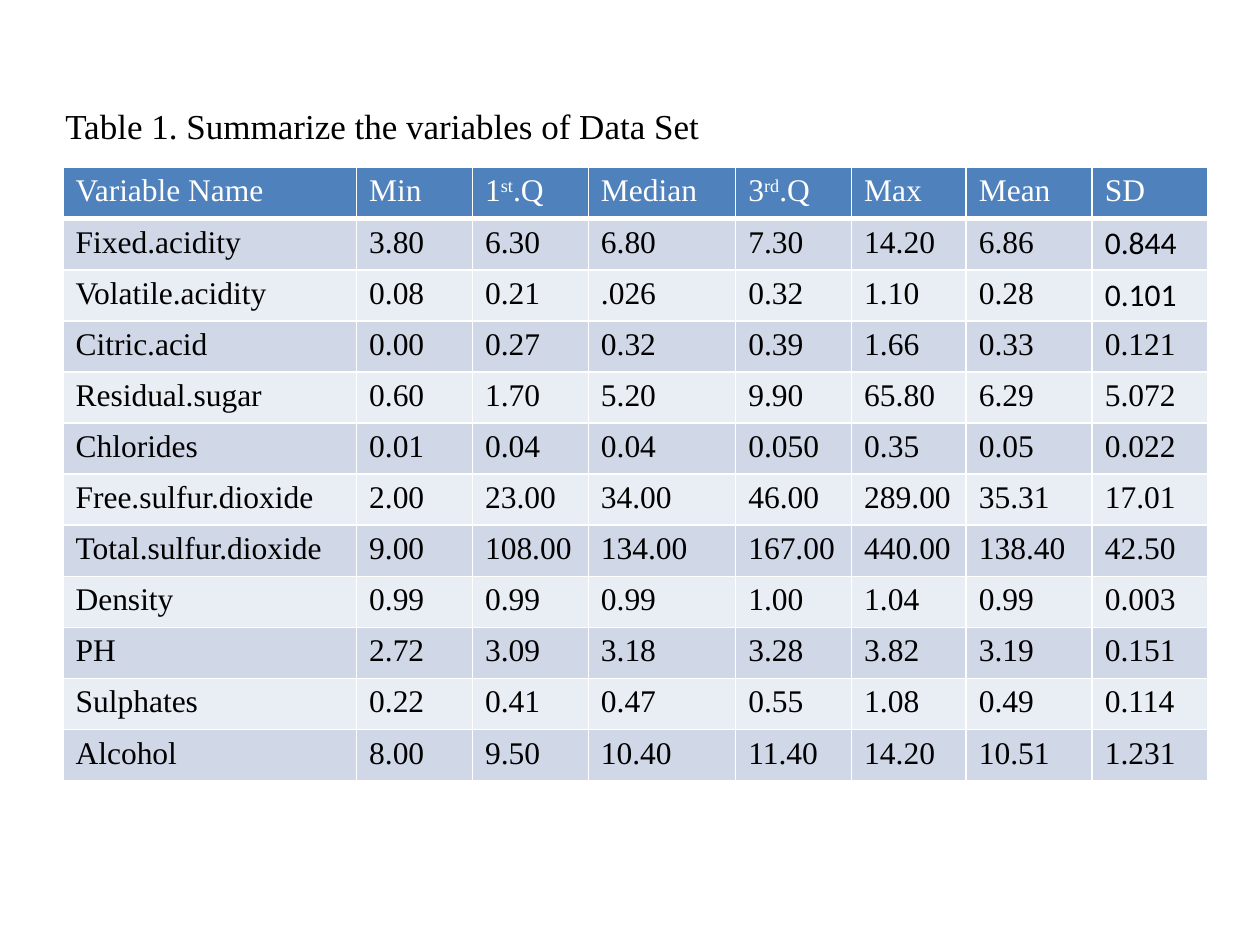
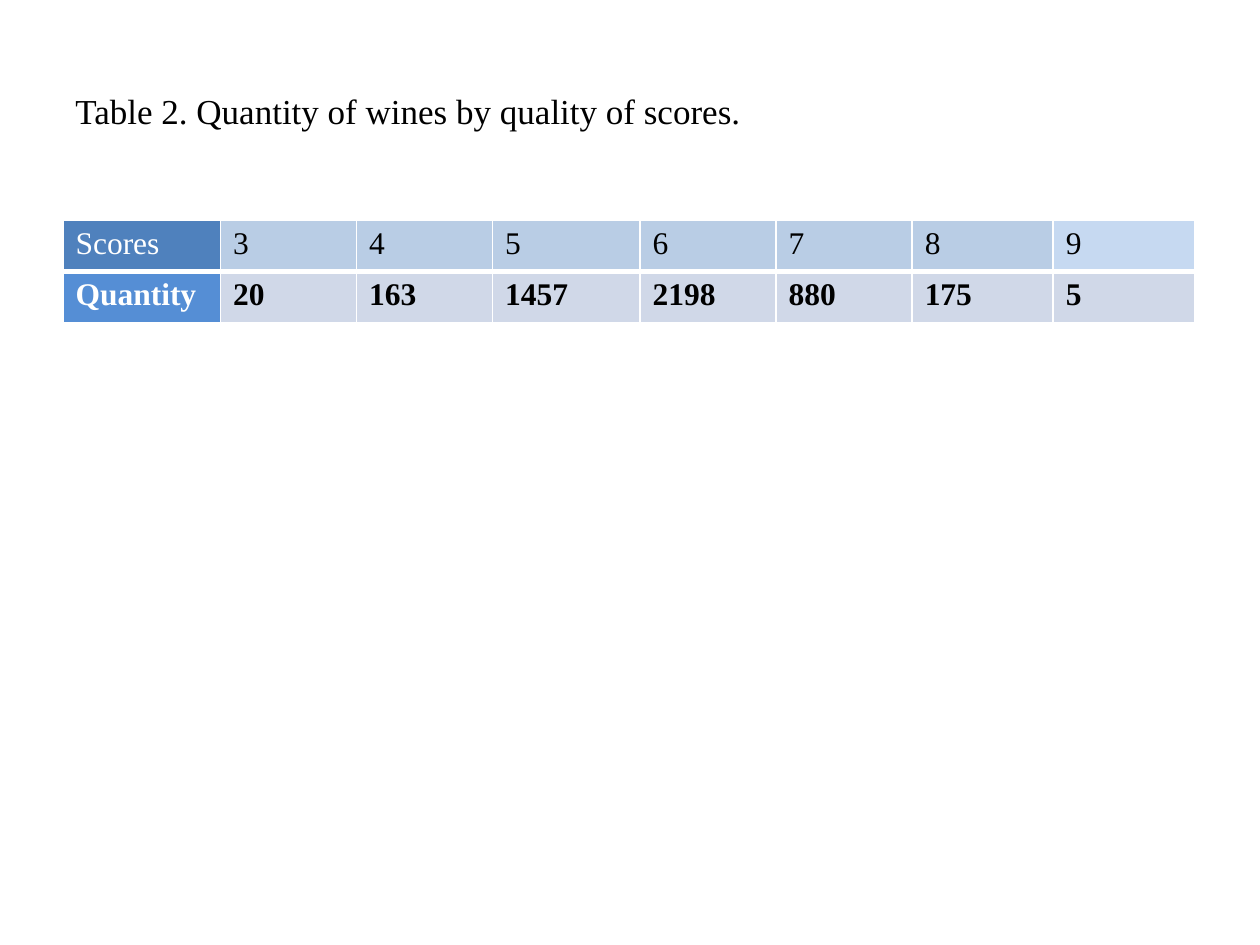
import pptx
import pptx.dml.color
import pptx.enum.text
import pptx.oxml.ns
import pptx.util
from lxml import etree
from pptx.util import Inches

SERIF, SANS = "Times New Roman", "Calibri"
WHITE, BLACK = "FFFFFF", "000000"
HEADER_BLUE, QUANTITY_BLUE = "4F81BD", "558ED5"
SCORE_BLUE, LAST_SCORE_BLUE = "B9CDE5", "C6D9F1"
BAND_DARK, BAND_LIGHT = "D0D8E8", "E9EDF4"

VARIABLES = [
    ["Variable Name", "Min", "1^st^.Q", "Median", "3^rd^.Q", "Max", "Mean", "SD"],
    ["Fixed.acidity", "3.80", "6.30", "6.80", "7.30", "14.20", "6.86", "0.844"],
    ["Volatile.acidity", "0.08", "0.21", ".026", "0.32", "1.10", "0.28", "0.101"],
    ["Citric.acid", "0.00", "0.27", "0.32", "0.39", "1.66", "0.33", "0.121"],
    ["Residual.sugar", "0.60", "1.70", "5.20", "9.90", "65.80", "6.29", "5.072"],
    ["Chlorides", "0.01", "0.04", "0.04", "0.050", "0.35", "0.05", "0.022"],
    ["Free.sulfur.dioxide", "2.00", "23.00", "34.00", "46.00", "289.00", "35.31", "17.01"],
    ["Total.sulfur.dioxide", "9.00", "108.00", "134.00", "167.00", "440.00", "138.40", "42.50"],
    ["Density", "0.99", "0.99", "0.99", "1.00", "1.04", "0.99", "0.003"],
    ["PH", "2.72", "3.09", "3.18", "3.28", "3.82", "3.19", "0.151"],
    ["Sulphates", "0.22", "0.41", "0.47", "0.55", "1.08", "0.49", "0.114"],
    ["Alcohol", "8.00", "9.50", "10.40", "11.40", "14.20", "10.51", "1.231"],
]
VARIABLE_WIDTHS = [2.33, 0.92, 0.92, 1.17, 0.92, 0.91, 1, 0.92]
SCORES = [
    ["Scores", "3", "4", "5", "6", "7", "8", "9"],
    ["Quantity", "20", "163", "1457", "2198", "880", "175", "5"],
]
SCORE_WIDTHS = [1.25, 1.08, 1.08, 1.17, 1.08, 1.08, 1.12, 1.12]


def rgb(value):
    return pptx.dml.color.RGBColor.from_string(value)


def add_text(paragraph, text, size, color=BLACK, font=SERIF, bold=False):
    """Add runs to the paragraph; a part between ^ marks is superscript."""
    for index, part in enumerate(text.split("^")):
        run = paragraph.add_run()
        run.text = part
        run.font.name = font
        run.font.size = pptx.util.Pt(size)
        run.font.bold = bold
        run.font.color.rgb = rgb(color)
        if index % 2:
            run.font._element.set("baseline", "30000")


def add_title(slide, text, left, top, height):
    box = slide.shapes.add_textbox(Inches(left), Inches(top), Inches(9), Inches(height))
    frame = box.text_frame
    frame.word_wrap = True
    frame.vertical_anchor = pptx.enum.text.MSO_ANCHOR.MIDDLE
    add_text(frame.paragraphs[0], text, 20)


def set_borders(cell, bottom_width):
    """Draw white cell borders, 1 pt except for the bottom one."""
    properties = cell._tc.get_or_add_tcPr()
    for side, width in (("L", 1), ("R", 1), ("T", 1), ("B", bottom_width)):
        line = etree.SubElement(properties, pptx.oxml.ns.qn(f"a:ln{side}"),
                                w=str(pptx.util.Pt(width)))
        fill = etree.SubElement(line, pptx.oxml.ns.qn("a:solidFill"))
        etree.SubElement(fill, pptx.oxml.ns.qn("a:srgbClr"), val=WHITE)


def add_data_table(slide, rows, widths, top, height, cell_style):
    """Add a table; cell_style(row, column) gives fill and text settings."""
    table = slide.shapes.add_table(len(rows), len(widths), Inches(0.5), Inches(top),
                                   Inches(sum(widths)), Inches(height)).table
    table.first_row = table.horz_banding = False
    for column, width in zip(table.columns, widths):
        column.width = Inches(width)
    for row_index, row in enumerate(rows):
        for column_index, text in enumerate(row):
            cell = table.cell(row_index, column_index)
            set_borders(cell, 3 if row_index == 0 else 1)
            fill, text_style = cell_style(row_index, column_index)
            cell.fill.solid()
            cell.fill.fore_color.rgb = rgb(fill)
            add_text(cell.text_frame.paragraphs[0], text, 18, **text_style)


def variable_style(row, column):
    if row == 0:
        return HEADER_BLUE, {"color": WHITE}
    sans_cell = row <= 2 and column == len(VARIABLE_WIDTHS) - 1
    return (BAND_DARK if row % 2 else BAND_LIGHT), {"font": SANS if sans_cell else SERIF}


def score_style(row, column):
    if row == 1:
        fill = BAND_DARK if column else QUANTITY_BLUE
    elif column == 0:
        fill = HEADER_BLUE
    else:
        fill = LAST_SCORE_BLUE if column == len(SCORE_WIDTHS) - 1 else SCORE_BLUE
    return fill, {"color": BLACK if column else WHITE, "bold": row == 1}


def main():
    presentation = pptx.Presentation()
    presentation.slide_width, presentation.slide_height = Inches(10), Inches(7.5)
    blank = presentation.slide_layouts[6]

    slide = presentation.slides.add_slide(blank)
    add_title(slide, "Table 1. Summarize the variables of Data Set", 0.42, 0.75, 0.5)
    add_data_table(slide, VARIABLES, VARIABLE_WIDTHS, 1.33, 4.87, variable_style)

    slide = presentation.slides.add_slide(blank)
    add_title(slide, "Table 2. Quantity of wines by quality of scores.", 0.5, 0.5, 0.75)
    add_data_table(slide, SCORES, SCORE_WIDTHS, 1.75, 0.81, score_style)

    presentation.save("out.pptx")


if __name__ == "__main__":
    main()
